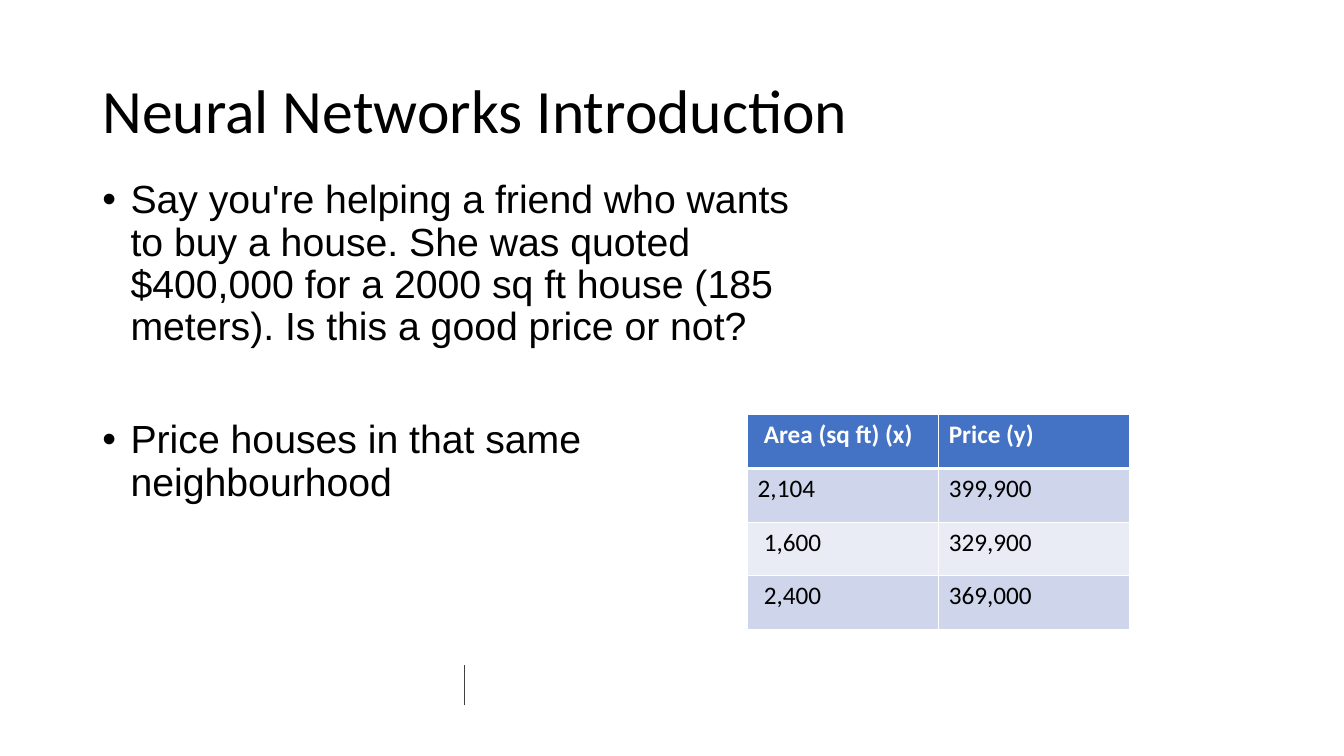
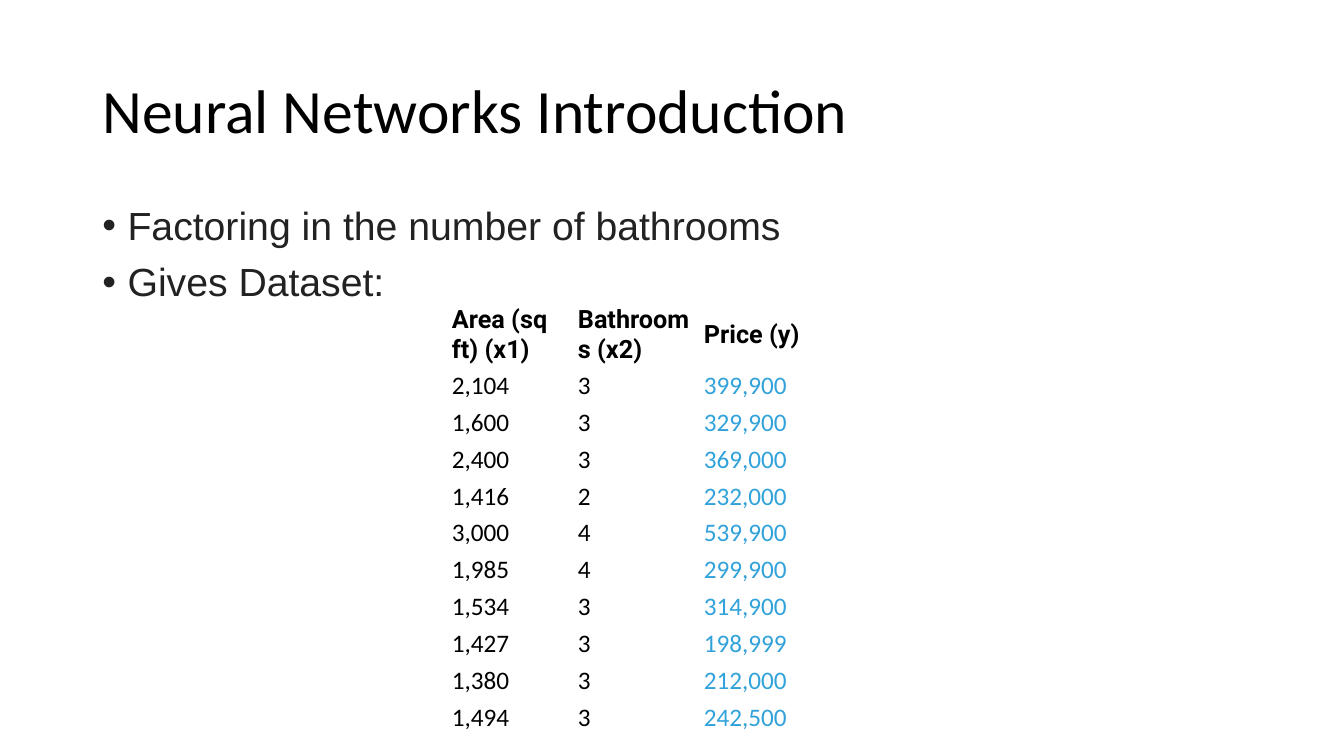
from dataclasses import dataclass

from lxml.etree import SubElement
from pptx import Presentation
from pptx.dml.color import RGBColor
from pptx.enum.shapes import MSO_CONNECTOR
from pptx.enum.text import MSO_ANCHOR, MSO_AUTO_SIZE, PP_ALIGN
from pptx.oxml.ns import qn
from pptx.util import Inches, Pt

SLIDE_WIDTH, SLIDE_HEIGHT = Inches(13.33), Inches(7.5)
TITLE_ONLY = 5
NO_TABLE_STYLE = "{2D5ABB26-0587-4C30-8999-92F81FD0307C}"

BLACK = RGBColor(0x00, 0x00, 0x00)
WHITE = RGBColor(0xFF, 0xFF, 0xFF)
CHARCOAL = RGBColor(0x22, 0x22, 0x22)
RULE_GREY = RGBColor(0x40, 0x40, 0x40)
HEADER_BLUE = RGBColor(0x44, 0x72, 0xC4)
BAND_DARK = RGBColor(0xCF, 0xD5, 0xEA)
BAND_LIGHT = RGBColor(0xE9, 0xEB, 0xF5)
PRICE_BLUE = RGBColor(0x31, 0xA2, 0xDA)

HEADING_FONT, BODY_FONT, DATA_FONT = "Calibri", "Arial", "Roboto"
LEFT, CONTENT_WIDTH = 6.88, 86.25


@dataclass
class Box:
    """A region in percent of the slide's width and height."""
    left: float
    top: float
    width: float
    height: float

    def lengths(self):
        return (int(SLIDE_WIDTH * self.left / 100), int(SLIDE_HEIGHT * self.top / 100),
                int(SLIDE_WIDTH * self.width / 100), int(SLIDE_HEIGHT * self.height / 100))


TITLE_BOX = Box(LEFT, 5.33, CONTENT_WIDTH, 19.33)
FOOTER_RULE = Box(34.58, 88, 0, 5.2)


def style_font(para, name, size, color, bold=False):
    font = para.font
    font.name, font.size, font.bold = name, Pt(size), bold
    font.color.rgb = color


def add_footer_rule(page, box):
    left, top, width, height = box.lengths()
    rule = page.shapes.add_connector(
        MSO_CONNECTOR.STRAIGHT, left, top, left + width, top + height)
    rule.line.color.rgb = RULE_GREY
    rule.line.width = Pt(1)
    SubElement(rule.element.spPr, qn("a:effectLst"))


def add_titled_page(deck, text):
    page = deck.slides.add_slide(deck.slide_layouts[TITLE_ONLY])
    title = page.shapes.title
    title.left, title.top, title.width, title.height = TITLE_BOX.lengths()
    frame = title.text_frame
    frame.text = text
    frame.auto_size = MSO_AUTO_SIZE.NONE
    frame.vertical_anchor = MSO_ANCHOR.MIDDLE
    para = frame.paragraphs[0]
    para.alignment = PP_ALIGN.LEFT
    para.line_spacing = 0.9
    style_font(para, HEADING_FONT, 44, BLACK)
    add_footer_rule(page, FOOTER_RULE)
    return page


def add_bullets(page, box, texts, color, indent, gap):
    frame = page.shapes.add_textbox(*box.lengths()).text_frame
    frame.word_wrap = True
    for number, text in enumerate(texts):
        para = frame.add_paragraph() if number else frame.paragraphs[0]
        para.text = text
        para.line_spacing = 0.9
        if number:
            para.space_before = Pt(gap)
        # Hanging bullet
        props = para._p.get_or_add_pPr()
        props.set("marL", str(Inches(indent)))
        props.set("indent", str(-Inches(indent)))
        SubElement(props, qn("a:buFont"), typeface="Arial")
        SubElement(props, qn("a:buChar"), char="•")
        style_font(para, BODY_FONT, 28, color)


def add_data_table(page, box, rows, header_share, style_cell):
    left, top, width, height = box.lengths()
    table_frame = page.shapes.add_table(
        len(rows), len(rows[0]), left, top, width, height)
    table = table_frame.table
    table_frame.element.find(".//" + qn("a:tableStyleId")).text = NO_TABLE_STYLE
    body_share = (1 - header_share) / (len(rows) - 1)
    for row_index, values in enumerate(rows):
        share = body_share if row_index else header_share
        table.rows[row_index].height = int(height * share)
        for column_index, value in enumerate(values):
            cell = table.cell(row_index, column_index)
            cell.text = value
            style_cell(cell, row_index, column_index)


def fill_cell(cell, color):
    cell.fill.solid()
    cell.fill.fore_color.rgb = color


def add_cell_borders(cell, color, widths):
    """Draw the borders; widths are points for left, right, top and bottom."""
    props = cell._tc.get_or_add_tcPr()
    for side, width in zip("LRTB", widths):
        border = SubElement(props, qn("a:ln" + side), w=str(Pt(width)))
        fill = SubElement(border, qn("a:solidFill"))
        SubElement(fill, qn("a:srgbClr"), val=str(color))


def style_banded_cell(cell, row, column):
    is_header = row == 0
    band = BAND_DARK if row % 2 else BAND_LIGHT
    add_cell_borders(cell, WHITE, (1, 1, 3 if row == 1 else 1, 3 if is_header else 1))
    fill_cell(cell, HEADER_BLUE if is_header else band)
    # The first column is set in slightly, except beside the first value
    if column == 0 and row != 1:
        cell.margin_left = Inches(0.16)
    style_font(cell.text_frame.paragraphs[0], HEADING_FONT, 18,
               WHITE if is_header else BLACK, is_header)


def style_plain_cell(cell, row, column):
    is_header = row == 0
    fill_cell(cell, WHITE)
    cell.vertical_anchor = MSO_ANCHOR.MIDDLE
    cell.margin_left = cell.margin_right = Inches(0.03)
    cell.margin_top = cell.margin_bottom = Inches(0.03)
    is_price = column == 2 and not is_header
    style_font(cell.text_frame.paragraphs[0],
               DATA_FONT if is_header else HEADING_FONT, 18,
               PRICE_BLUE if is_price else BLACK, is_header)


HOUSES = [
    ("2,104", "3", "399,900"),
    ("1,600", "3", "329,900"),
    ("2,400", "3", "369,000"),
    ("1,416", "2", "232,000"),
    ("3,000", "4", "539,900"),
    ("1,985", "4", "299,900"),
    ("1,534", "3", "314,900"),
    ("1,427", "3", "198,999"),
    ("1,380", "3", "212,000"),
    ("1,494", "3", "242,500"),
]
TITLE = "Neural Networks Introduction"


def build_price_page(deck):
    page = add_titled_page(deck, TITLE)
    rows = [("Area (sq ft) (x)", "Price (y)")]
    rows += [(area, price) for area, _, price in HOUSES[:3]]
    add_data_table(page, Box(55.63, 54.87, 28.43, 28.4), rows, 0.25, style_banded_cell)
    add_bullets(page, Box(LEFT, 23.15, 55.5, 63.47), [
        "Say you're helping a friend who wants to buy a house. She was quoted "
        "$400,000 for a 2000 sq ft house (185 meters). Is this a good price or not?",
        "Price houses in that same neighbourhood",
    ], BLACK, indent=0.28, gap=50.5)


def build_bathroom_page(deck):
    page = add_titled_page(deck, TITLE)
    rows = [("Area (sq ft) (x1)", "Bathrooms (x2)", "Price (y)")] + HOUSES
    add_data_table(page, Box(33.4, 40, 28.13, 56.13), rows, 0.15, style_plain_cell)
    add_bullets(page, Box(LEFT, 26.67, CONTENT_WIDTH, 56.13), [
        "Factoring in the number of bathrooms",
        "Gives Dataset:",
    ], CHARCOAL, indent=0.25, gap=10)


def main():
    deck = Presentation()
    deck.slide_width, deck.slide_height = SLIDE_WIDTH, SLIDE_HEIGHT
    build_price_page(deck)
    build_bathroom_page(deck)
    deck.save("out.pptx")


if __name__ == "__main__":
    main()
